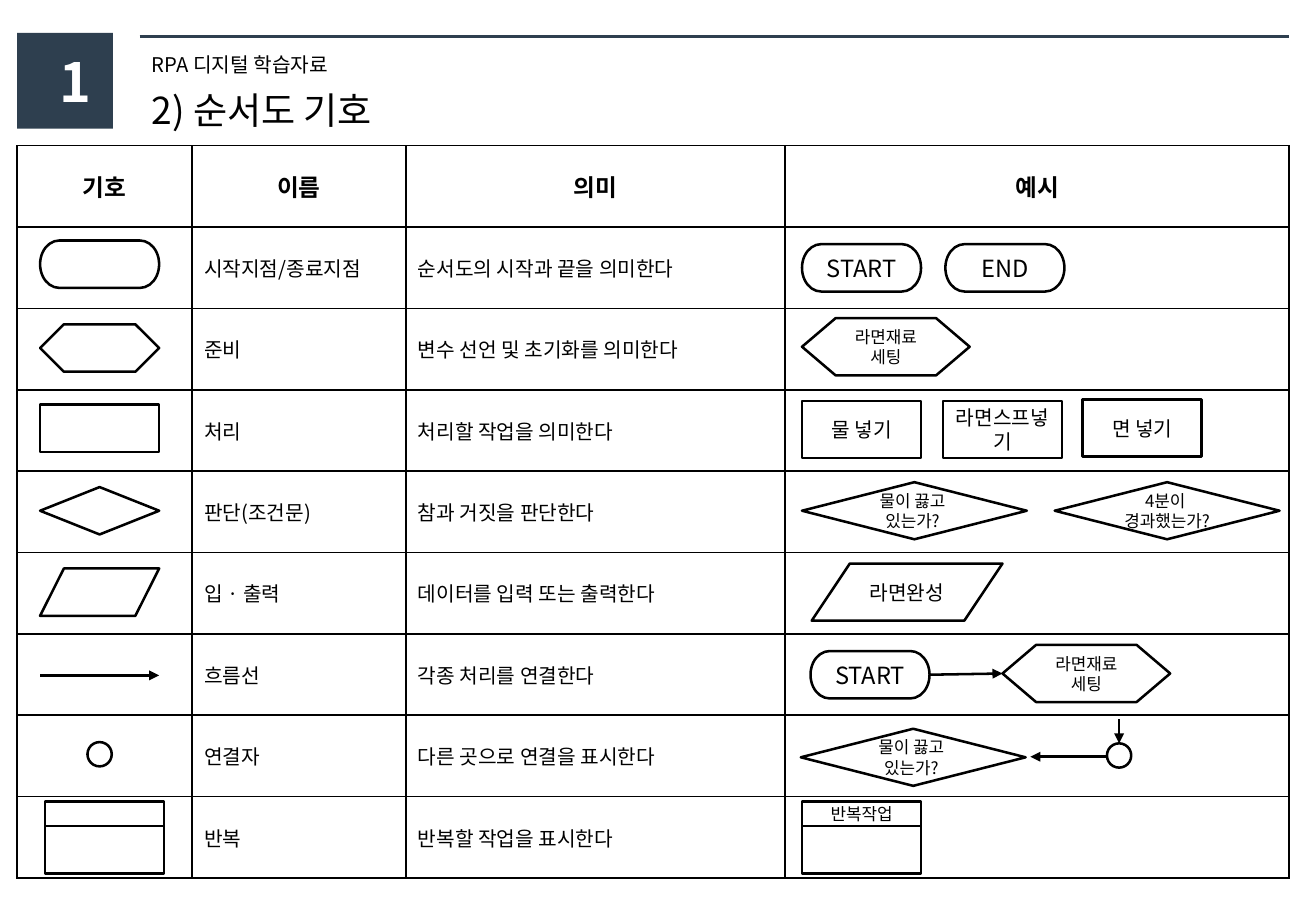
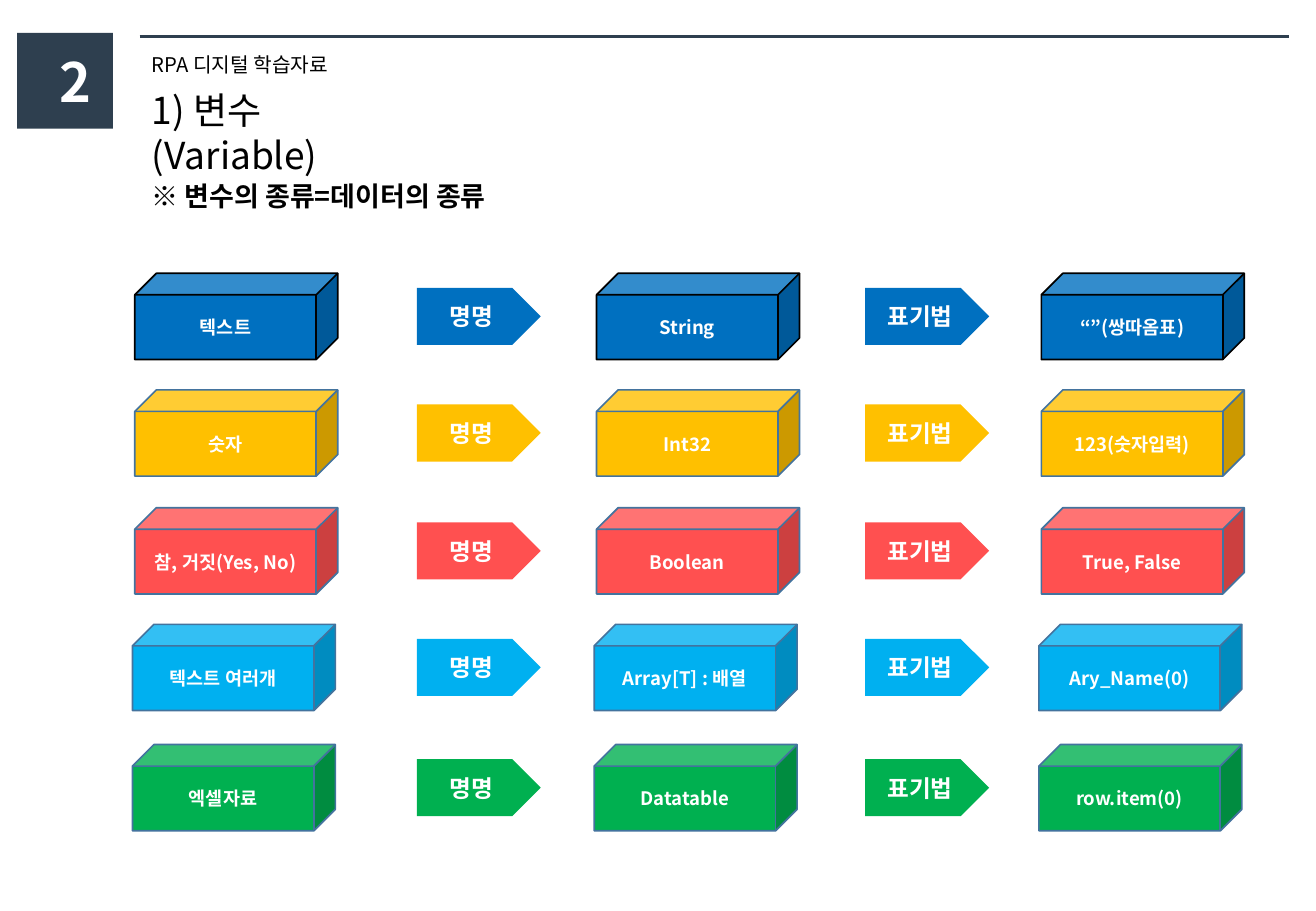
from lxml import etree
from pptx import Presentation
from pptx.dml.color import RGBColor
from pptx.enum.shapes import MSO_CONNECTOR, MSO_SHAPE
from pptx.enum.text import MSO_ANCHOR, MSO_AUTO_SIZE, PP_ALIGN
from pptx.oxml.ns import qn
from pptx.util import Inches, Pt

FONT = "Noto Sans CJK KR"
NAVY, BLACK, WHITE, STEEL = "2E3F4F", "000000", "FFFFFF", "43739E"
LEFT, CENTER = PP_ALIGN.LEFT, PP_ALIGN.CENTER
TOP, MIDDLE = MSO_ANCHOR.TOP, MSO_ANCHOR.MIDDLE
STRAIGHT = MSO_CONNECTOR.STRAIGHT
RECT, CUBE, PENTAGON = MSO_SHAPE.RECTANGLE, MSO_SHAPE.CUBE, MSO_SHAPE.PENTAGON
TERMINATOR = MSO_SHAPE.FLOWCHART_TERMINATOR
PREPARATION = MSO_SHAPE.FLOWCHART_PREPARATION
DECISION = MSO_SHAPE.FLOWCHART_DECISION
IN_OUT = MSO_SHAPE.FLOWCHART_DATA
JOINT = MSO_SHAPE.FLOWCHART_CONNECTOR
PROCESS = MSO_SHAPE.FLOWCHART_PROCESS

# Symbol table: column widths, and the size of each kind of example
COLUMNS = [1.44, 1.76, 3.12, 4.15]
ROW_HEIGHT = 0.67
SYMBOL_W, SYMBOL_H = 0.98, 0.39
HEADINGS = ["기호", "이름", "의미", "예시"]
EXAMPLE_STYLE = {  # kind: width, height, text size
    TERMINATOR: (0.98, 0.39, 14),
    PREPARATION: (1.38, 0.47, 10),
    RECT: (0.98, 0.47, 12),
    DECISION: (1.85, 0.47, 10),
    IN_OUT: (1.57, 0.47, 12),
}
BOIL = "물이 끓고 \n있는가? "
# name, meaning, symbol, its drop in the row, examples (x, y in the cell, text)
SYMBOLS = [
    ("시작지점/종료지점", "순서도의 시작과 끝을 의미한다", TERMINATOR, 0.11,
     [(0.14, 0.14, "START"), (1.32, 0.14, "END")]),
    ("준비", "변수 선언 및 초기화를 의미한다", PREPARATION, 0.13,
     [(0.14, 0.08, "라면재료 세팅")]),
    ("처리", "처리할 작업을 의미한다", RECT, 0.12,
     [(0.14, 0.09, "물 넣기"), (1.3, 0.09, "라면스프넣기"), (2.45, 0.08, "면 넣기")]),
    ("판단(조건문)", "참과 거짓을 판단한다", DECISION, 0.13,
     [(0.14, 0.09, BOIL), (2.22, 0.09, "4분이 \n경과했는가?")]),
    ("입 · 출력", "데이터를 입력 또는 출력한다", IN_OUT, 0.13,
     [(0.22, 0.09, "라면완성")]),
    ("흐름선", "각종 처리를 연결한다", None, 0, []),
    ("연결자", "다른 곳으로 연결을 표시한다", None, 0, []),
    ("반복", "반복할 작업을 표시한다", None, 0, []),
]
FLOW_ROW, JOINT_ROW, LOOP_ROW = 6, 7, 8

# Data types: top, shift, fill, outline, cube texts
DATA_TYPES = [
    (2.25, 0, "0070C0", BLACK, ["텍스트", "String", "“”(쌍따옴표)"]),
    (3.21, 0, "FFC000", STEEL, ["숫자", "Int32", "123(숫자입력)"]),
    (4.18, 0, "FF5050", STEEL, ["참, 거짓(Yes, No)", "Boolean", "True, False"]),
    (5.14, -0.02, "00B0F0", STEEL, ["텍스트 여러개", "Array[T] : 배열", "Ary_Name(0)"]),
    (6.13, -0.02, "00B050", STEEL, ["엑셀자료", "Datatable", "row.item(0)"]),
]
CUBE_LEFTS = [1.11, 4.91, 8.57]
STEPS = [(3.43, "명명"), (7.12, "표기법")]


def rgb(value):
    return RGBColor.from_string(value)


def write(frame, text, size, color=BLACK, bold=False, align=LEFT, anchor=MIDDLE):
    frame.word_wrap = True
    frame.vertical_anchor = anchor
    for index, line in enumerate(text.split("\n")):
        para = frame.paragraphs[0] if index == 0 else frame.add_paragraph()
        para.alignment = align
        span = para.add_run()
        span.text = line
        span.font.size = Pt(size)
        span.font.bold = bold
        span.font.name = FONT
        span.font.color.rgb = rgb(color)
        east_asian = etree.SubElement(span.font._element, qn("a:ea"))
        east_asian.set("typeface", FONT)


def add_text(page, box, text, size, **style):
    frame = page.shapes.add_textbox(*map(Inches, box)).text_frame
    write(frame, text, size, anchor=TOP, **style)


def add_figure(shapes, kind, box, fill=None, line=BLACK, width=1.5):
    figure = shapes.add_shape(kind, *map(Inches, box))
    figure.shadow.inherit = False
    if fill:
        figure.fill.solid()
        figure.fill.fore_color.rgb = rgb(fill)
    else:
        figure.fill.background()
    if line:
        figure.line.color.rgb = rgb(line)
        figure.line.width = Pt(width)
    else:
        figure.line.fill.background()
    return figure


def add_line(page, start, end, color=BLACK, arrow=True):
    line = page.shapes.add_connector(STRAIGHT, *map(Inches, start + end))
    line.line.color.rgb = rgb(color)
    line.line.width = Pt(1.5)
    if arrow:
        etree.SubElement(line.line._get_or_add_ln(), qn("a:tailEnd"), type="triangle")
    etree.SubElement(line._element.spPr, qn("a:effectLst"))
    return line


def add_grid(page, left, top, widths, heights):
    total = [Inches(n) for n in (left, top, sum(widths), sum(heights))]
    grid = page.shapes.add_table(len(heights), len(widths), *total).table
    grid.first_row = grid.horz_banding = False
    for column, width in zip(grid.columns, widths):
        column.width = Inches(width)
    for row, height in zip(grid.rows, heights):
        row.height = Inches(height)
    return grid


def format_cell(cell, border=None):
    properties = cell._tc.get_or_add_tcPr()
    for side in ("a:lnL", "a:lnR", "a:lnT", "a:lnB"):
        edge = etree.SubElement(properties, qn(side), w=str(Pt(1)))
        if border:
            paint = etree.SubElement(edge, qn("a:solidFill"))
            etree.SubElement(paint, qn("a:srgbClr"), val=border)
        else:
            etree.SubElement(edge, qn("a:noFill"))
    cell.fill.background()
    cell.vertical_anchor = MIDDLE


def add_page(deck, number, title):
    """Slide with the shared header: rule, number block, subject and title."""
    page = deck.slides.add_slide(deck.slide_layouts[5])
    add_line(page, (1.15, 0.3), (10.61, 0.3), NAVY, arrow=False)
    add_figure(page.shapes, RECT, (0.14, 0.27, 0.79, 0.79), NAVY, None)
    add_text(page, (0.39, 0.35, 0.28, 0.64), number, 32,
             color=WHITE, bold=True, align=CENTER)
    add_text(page, (1.15, 0.38, 1.92, 0.3), "RPA 디지털 학습자료", 12)
    heading = page.shapes.title
    heading.left, heading.top = Inches(1.15), Inches(0.67)
    heading.width, heading.height = Inches(2.3), Inches(0.47)
    heading.text_frame.auto_size = MSO_AUTO_SIZE.NONE
    write(heading.text_frame, title, 22, anchor=TOP)
    return page


def add_example(page, kind, x, y, text):
    width, height, size = EXAMPLE_STYLE[kind]
    figure = add_figure(page.shapes, kind, (x, y, width, height))
    write(figure.text_frame, text, size, align=CENTER)
    return figure


def add_loop(page, x, y, text=""):
    group = page.shapes.add_group_shape()
    add_figure(group.shapes, PROCESS, (x, y + 0.2, SYMBOL_W, SYMBOL_H), WHITE)
    header = add_figure(group.shapes, PROCESS, (x, y, SYMBOL_W, 0.2), WHITE)
    if text:
        write(header.text_frame, text, 10, align=CENTER)


def add_flow_row(page, symbol_x, example_x, y):
    add_line(page, (symbol_x + 0.19, y + 0.34), (symbol_x + 1.17, y + 0.34))
    start = add_example(page, TERMINATOR, example_x + 0.21, y + 0.14, "START")
    setup = add_example(page, PREPARATION, example_x + 1.79, y + 0.09, "라면재료 세팅")
    arrow = add_line(page, (example_x + 1.19, y + 0.33), (example_x + 1.79, y + 0.33))
    arrow.begin_connect(start, 3)
    arrow.end_connect(setup, 1)


def add_joint_row(page, symbol_x, example_x, y):
    add_figure(page.shapes, JOINT, (symbol_x + 0.58, y + 0.22, 0.2, 0.2))
    joint = add_figure(page.shapes, JOINT, (example_x + 2.65, y + 0.23, 0.2, 0.2))
    entry = add_line(page, (example_x + 2.75, y + 0.03), (example_x + 2.75, y + 0.23))
    entry.end_connect(joint, 0)
    add_line(page, (example_x + 2.64, y + 0.34), (example_x + 2.02, y + 0.34))
    add_example(page, DECISION, example_x + 0.13, y + 0.11, BOIL)


def add_symbol_table(page, left, top):
    grid = add_grid(page, left, top, COLUMNS, [ROW_HEIGHT] * (len(SYMBOLS) + 1))
    for cell in grid.iter_cells():
        format_cell(cell, BLACK)
    for column, heading in enumerate(HEADINGS):
        write(grid.cell(0, column).text_frame, heading, 14, bold=True, align=CENTER)

    example_x = left + sum(COLUMNS[:3])
    for row, (name, meaning, kind, drop, examples) in enumerate(SYMBOLS, 1):
        y = top + row * ROW_HEIGHT
        write(grid.cell(row, 1).text_frame, name, 12)
        write(grid.cell(row, 2).text_frame, meaning, 12)
        if kind:
            add_figure(page.shapes, kind, (left + 0.19, y + drop, SYMBOL_W, SYMBOL_H))
        for dx, dy, text in examples:
            add_example(page, kind, example_x + dx, y + dy, text)

    # Rows whose symbols are made of several parts
    add_flow_row(page, left, example_x, top + FLOW_ROW * ROW_HEIGHT)
    add_joint_row(page, left, example_x, top + JOINT_ROW * ROW_HEIGHT)
    loop_y = top + LOOP_ROW * ROW_HEIGHT + 0.04
    add_loop(page, left + 0.23, loop_y)
    add_loop(page, example_x + 0.14, loop_y, "반복작업")


def add_note(page, left, top, width):
    cell = add_grid(page, left, top, [width], [0.37]).cell(0, 0)
    format_cell(cell)
    write(cell.text_frame, "※ 변수의 종류=데이터의 종류", 16, bold=True)


def add_type_row(page, top, shift, fill, outline, texts):
    """Three cubes in a row, with a naming step between neighbours."""
    for left, text in zip(CUBE_LEFTS, texts):
        cube = add_figure(page.shapes, CUBE, (left + shift, top, 1.67, 0.71),
                          fill, outline, 1)
        write(cube.text_frame, text, 11, WHITE, True, CENTER)
    for left, text in STEPS:
        step = add_figure(page.shapes, PENTAGON, (left, top + 0.12, 1.02, 0.47),
                          fill, None)
        write(step.text_frame, text, 14, WHITE, True, CENTER)


def main():
    deck = Presentation()
    deck.slide_width, deck.slide_height = Inches(10.83), Inches(7.5)

    symbols_page = add_page(deck, "1", "2) 순서도 기호")
    add_symbol_table(symbols_page, 0.14, 1.2)

    types_page = add_page(deck, "2", "1) 변수(Variable)")
    add_note(types_page, 1.15, 1.39, 7.69)
    for data_type in DATA_TYPES:
        add_type_row(types_page, *data_type)

    deck.save("out.pptx")


if __name__ == "__main__":
    main()
